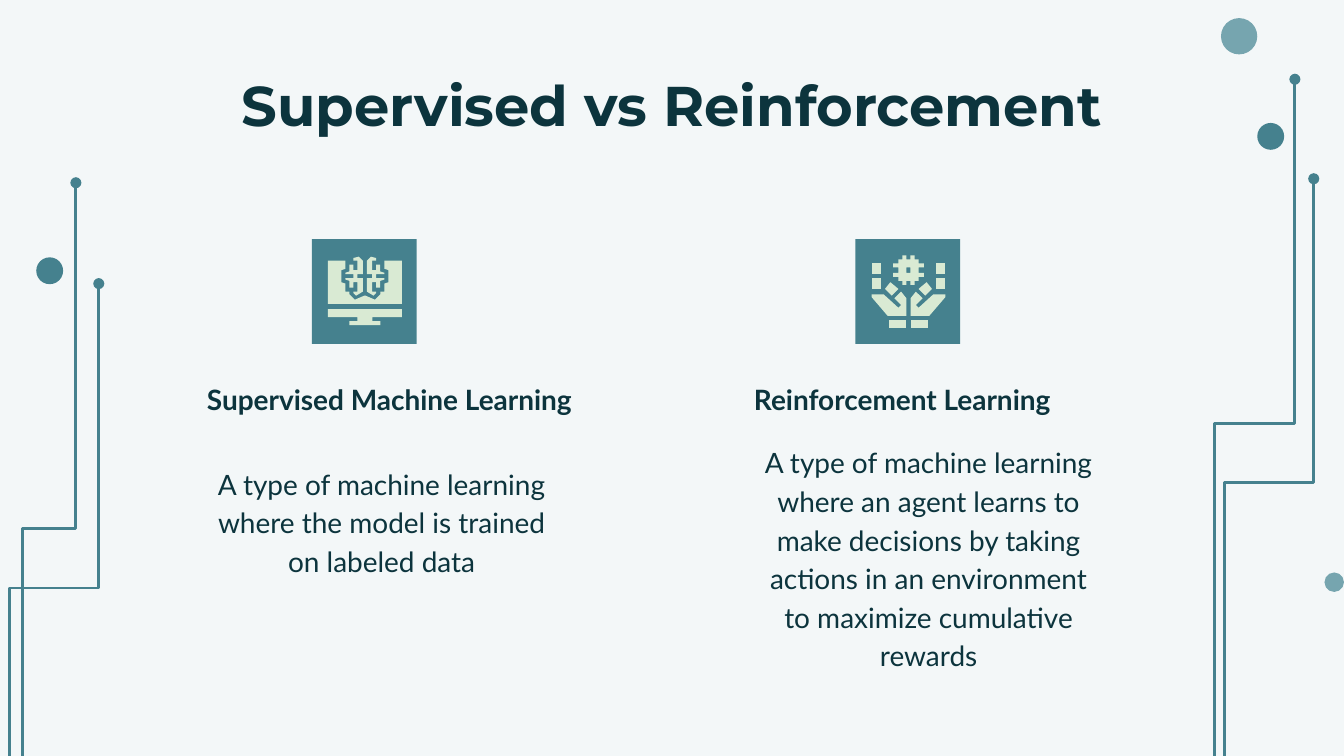
from dataclasses import dataclass

from lxml import etree
from pptx import Presentation, util as u
from pptx.dml.color import RGBColor
from pptx.enum import shapes, text
from pptx.oxml import ns


@dataclass(frozen=True)
class Theme:
    background: str = "F3F7F8"
    ink: str = "0C343D"
    teal: str = "45818E"
    mist: str = "76A5AF"
    mint: str = "D9EAD3"
    title_font: str = "Montserrat"
    body_font: str = "Lato"
    title_size: int = 30
    body_size: int = 15
    circuit_width: float = 1.5


THEME = Theme()
COLUMNS, ROWS = 1000, 562.5
CELL = u.Inches(0.01)
TILE = 78
ICON_SPAN = 79

BRAIN_HALF = [
    (35, 13), (31, 14), (31, 16), (34, 16), (34, 23), (31, 23), (31, 19),
    (28, 19), (28, 24), (25, 25), (25, 26), (31, 26), (31, 29), (25, 29),
    (25, 30), (28, 31), (28, 36), (31, 36), (31, 32), (34, 32), (34, 39),
    (31, 39), (31, 40), (33, 42), (38, 39), (38, 29), (34, 29), (34, 26),
    (38, 26), (38, 16),
]
STAND_HALF = [(12, 52), (12, 58), (34, 58), (34, 61), (28, 61), (28, 64)]
SCREEN_HALF = [
    (12, 48), (12, 16), (25, 16), (25, 22), (22, 23), (22, 32), (25, 33),
    (25, 39), (28, 39), (28, 41), (32, 45), (39, 42),
]
GEAR_HALF = [
    (38, 15), (38, 12), (35, 12), (35, 15), (32, 15), (32, 18), (28, 18),
    (28, 21), (32, 21), (32, 25), (28, 25), (28, 28), (32, 28), (32, 31),
    (35, 31), (35, 34), (38, 34), (38, 31),
]
GEAR_HOLE_HALF = [(38, 21), (38, 25)]
HAND = [
    (34, 39), (29, 44), (34, 49), (32, 51), (21, 41), (12, 41), (12, 43),
    (24, 57), (38, 57), (38, 44),
]
THUMB = [(26, 32), (22, 37), (27, 42), (32, 37)]


def mirrored(points):
    return [(ICON_SPAN - x, y) for x, y in points]


def symmetric(half):
    return half + mirrored(half[::-1])


def block(left, top, width, height):
    right, bottom = left + width, top + height
    return [(left, top), (left, bottom), (right, bottom), (right, top)]


def cells(*counts):
    return [round(count * CELL) for count in counts]


def color(value):
    return RGBColor.from_string(value)


def paint(shape, fill):
    shape.shadow.inherit = False
    shape.fill.solid()
    shape.fill.fore_color.rgb = color(fill)
    shape.line.fill.background()


def add_dot(slide, left, top, size, fill):
    dot = slide.shapes.add_shape(
        shapes.MSO_SHAPE.OVAL, *cells(left, top, size, size))
    paint(dot, fill)


def add_circuit(slide, foot, tip, top, bend):
    height, width = 2 * (bend - top), tip - foot
    middle = (foot + tip) / 2
    circuit = slide.shapes.add_connector(
        shapes.MSO_CONNECTOR.ELBOW,
        *cells(middle - height / 2, bend - width / 2,
               middle + height / 2, bend + width / 2))
    circuit.line.color.rgb = color(THEME.teal)
    circuit.line.width = u.Pt(THEME.circuit_width)
    properties = circuit._element.spPr
    properties.find(ns.qn("a:xfrm")).set("rot", "16200000")
    line = properties.find(ns.qn("a:ln"))
    etree.SubElement(line, ns.qn("a:tailEnd"), type="oval")
    etree.SubElement(properties, ns.qn("a:effectLst"))


def add_icon(slide, left, top, figures):
    tile = slide.shapes.add_shape(
        shapes.MSO_SHAPE.RECTANGLE, *cells(left, top, TILE, TILE))
    paint(tile, THEME.teal)
    icon = slide.shapes.add_group_shape()
    for contours in figures:
        outline = icon.shapes.build_freeform(*contours[0][0], scale=CELL)
        outline.add_line_segments(contours[0][1:], close=True)
        for hole in contours[1:]:
            outline.move_to(*hole[0])
            outline.add_line_segments(hole[1:], close=True)
        paint(outline.convert_to_shape(*cells(left, top)), THEME.mint)


def write(placeholder, box, words, font, size, bold=False,
          align=text.PP_ALIGN.CENTER, anchor=text.MSO_ANCHOR.TOP, spacing=1.0):
    (placeholder.left, placeholder.top,
     placeholder.width, placeholder.height) = cells(*box)
    frame = placeholder.text_frame
    frame.word_wrap = True
    frame.auto_size = text.MSO_AUTO_SIZE.NONE
    frame.vertical_anchor = anchor
    frame.margin_left = frame.margin_right = u.Inches(0.1)
    frame.margin_top = frame.margin_bottom = u.Inches(0.1)
    paragraph = frame.paragraphs[0]
    paragraph.alignment = align
    paragraph.line_spacing = spacing
    paragraph.space_before = u.Pt(0)
    properties = paragraph._p.get_or_add_pPr()
    properties.set("marL", "0")
    properties.set("indent", "0")
    etree.SubElement(properties, ns.qn("a:buNone"))
    run = paragraph.add_run()
    run.text = words
    run.font.name = font
    run.font.size = u.Pt(size)
    run.font.bold = bold
    run.font.color.rgb = color(THEME.ink)


def add_topic(slide, heading_id, left, heading_width, body_top, heading, body):
    spots = slide.placeholders
    write(spots[heading_id], (left, 274, heading_width, 45.5), heading,
          THEME.body_font, THEME.body_size, bold=True,
          align=text.PP_ALIGN.LEFT, anchor=text.MSO_ANCHOR.BOTTOM, spacing=1.15)
    write(spots[heading_id + 1], (left, body_top, 280, 132), body,
          THEME.body_font, THEME.body_size, spacing=1.15)


def main():
    deck = Presentation()
    deck.slide_width, deck.slide_height = cells(COLUMNS, ROWS)
    slide = deck.slides.add_slide(deck.slide_layouts[4])
    slide.background.fill.solid()
    slide.background.fill.fore_color.rgb = color(THEME.background)

    for foot, tip, top, bend in (
            (903.5, 963.5, 59, 315), (911, 977.5, 133, 359),
            (17, 56.5, 136, 393), (7, 73.5, 211, 437.5)):
        add_circuit(slide, foot, tip, top, bend)
    for left, top, size, fill in (
            (908.5, 13.5, 27, THEME.mist), (935.5, 91.5, 20, THEME.teal),
            (985.5, 426, 14.5, THEME.mist), (27, 191.5, 20, THEME.teal)):
        add_dot(slide, left, top, size, fill)

    write(slide.shapes.title, (78.5, 42.5, 843, 63),
          "Supervised vs Reinforcement",
          THEME.title_font, THEME.title_size, bold=True)
    add_topic(slide, 1, 144, 393, 334, "Supervised Machine Learning",
              "A type of machine learning where the model is trained "
              "on labeled data")
    add_topic(slide, 3, 551, 280, 318, "Reinforcement Learning",
              "A type of machine learning where an agent learns to make "
              "decisions by taking actions in an environment to maximize "
              "cumulative rewards")

    computer = [[BRAIN_HALF], [mirrored(BRAIN_HALF)],
                [symmetric(STAND_HALF)], [symmetric(SCREEN_HALF)]]
    gear = [symmetric(GEAR_HALF), symmetric(GEAR_HOLE_HALF)]
    left_side = [block(12, 18, 7, 8), block(12, 29, 7, 8),
                 HAND, THUMB, block(25, 60, 13, 6)]
    hands = [[side] for part in left_side for side in (part, mirrored(part))]
    add_icon(slide, 232, 178, computer)
    add_icon(slide, 636.5, 178, [gear] + hands)

    deck.save("out.pptx")


if __name__ == "__main__":
    main()
